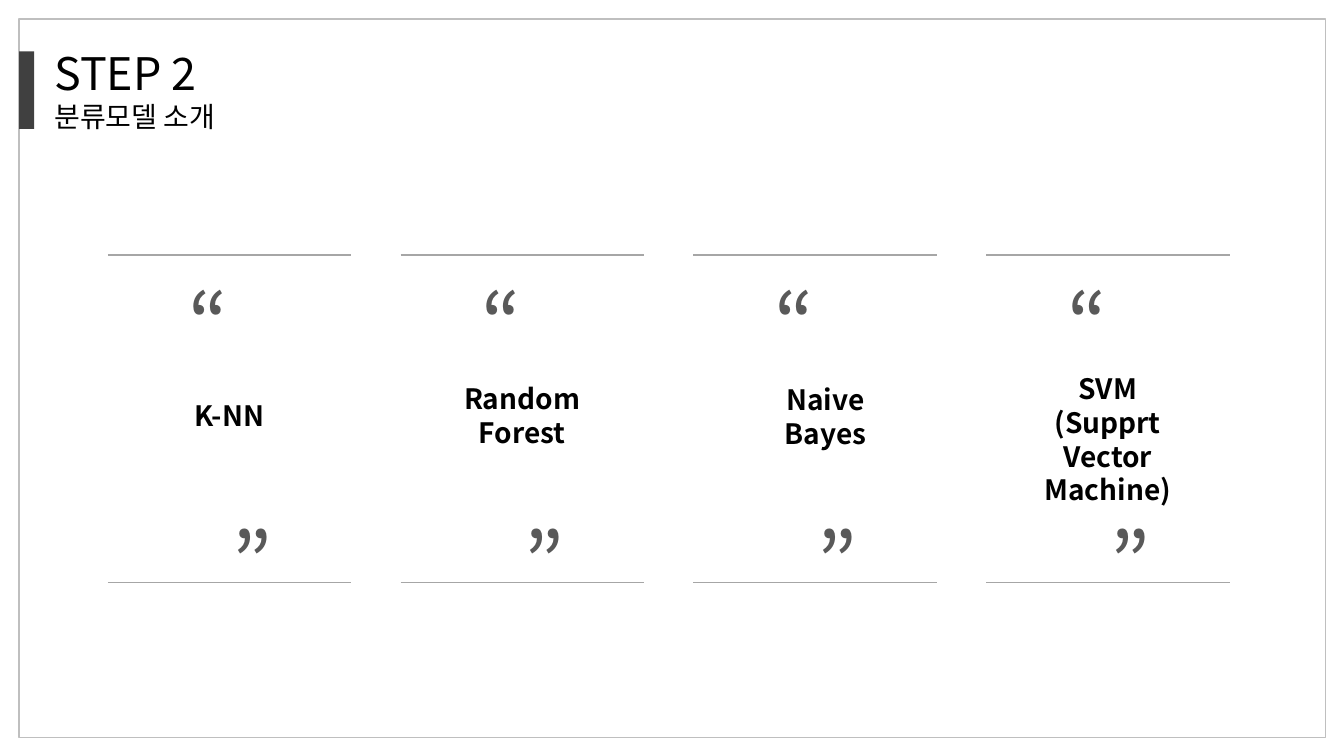
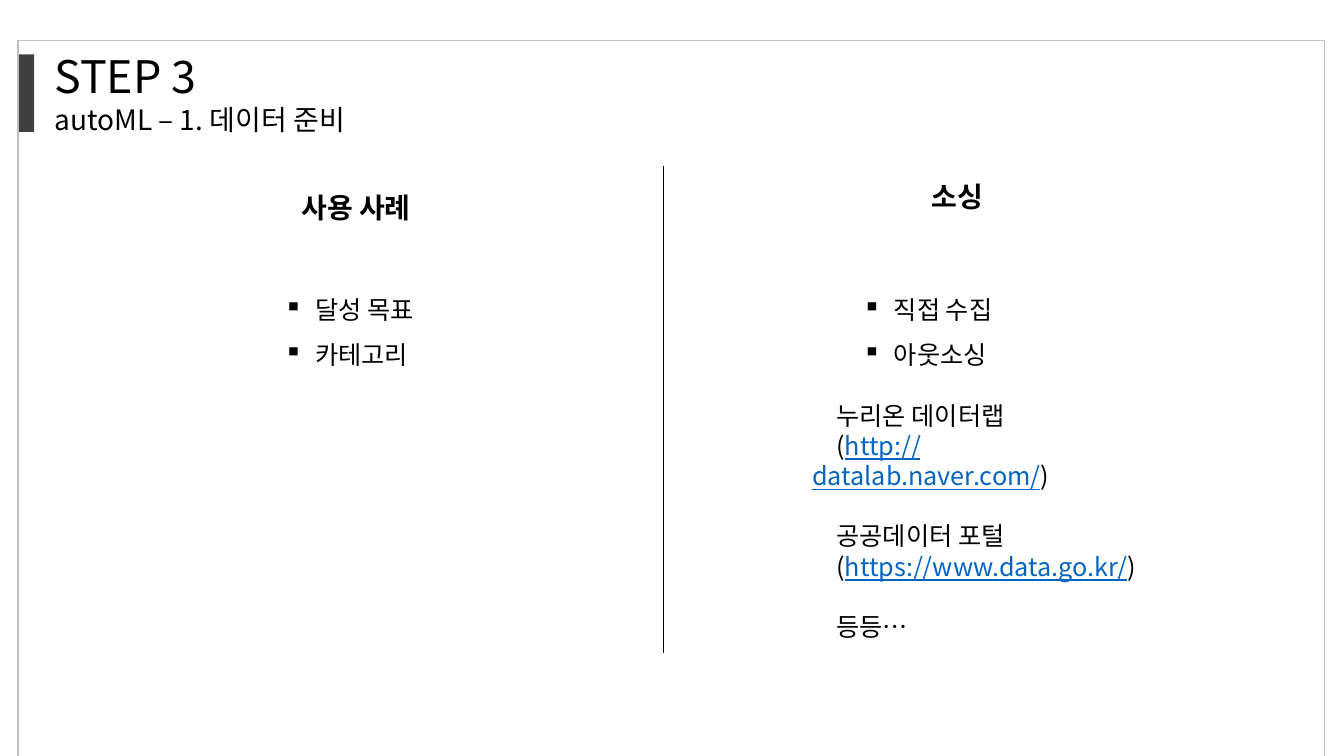
import dataclasses

import lxml.etree
import pptx
import pptx.dml.color
import pptx.enum.shapes
import pptx.enum.text
import pptx.oxml.ns
import pptx.util

COLORS = {
    "frame": "BFBFBF",
    "bar": "404040",
    "rule": "A6A6A6",
    "quote": "595959",
    "text": "000000",
    "link": "0563C1",
}
FONT = "Noto Sans CJK KR"
SLIDE_WIDTH = pptx.util.Inches(13.33)
SLIDE_HEIGHT = pptx.util.Inches(7.5)
GRID_COLUMNS, GRID_ROWS = 80, 45

CARD_LEFT, CARD_PITCH, CARD_WIDTH = 6.42, 17.43, 14.5
CARD_TOP, CARD_BOTTOM = 15.18, 34.68
LABEL_SHIFT, LABEL_WIDTH, LABEL_ROW = -0.63, 15.72, 2
QUOTE_WIDTH, QUOTE_HEIGHT = 6, 6.66
LIST_TOP = 16.32
BULLET_INDENT = 0.31
LINE_GAP = 21.5


@dataclasses.dataclass(frozen=True)
class Box:
    left: float
    top: float
    width: float
    height: float

    def lengths(self) -> tuple[int, int, int, int]:
        return (across(self.left), down(self.top), across(self.width), down(self.height))


@dataclasses.dataclass(frozen=True)
class Style:
    size: float
    color: str = "text"
    bold: bool = False
    outline: str = ""
    outline_opacity: int = 30


@dataclasses.dataclass(frozen=True)
class Header:
    text: str
    top: float
    frame_left: float
    frame_top: float


@dataclasses.dataclass(frozen=True)
class Card:
    label: str
    top: float
    shift: float = LABEL_SHIFT


@dataclasses.dataclass(frozen=True)
class Quote:
    mark: str
    shift: float
    top: float


@dataclasses.dataclass(frozen=True)
class Topic:
    heading: str
    heading_left: float
    heading_top: float
    items: str
    box: Box
    indent: float


@dataclasses.dataclass(frozen=True)
class Source:
    name: str
    link: str = ""


STEP_STYLE = Style(32, outline="text", outline_opacity=50)
SUBTITLE_STYLE = Style(20, outline="text", outline_opacity=50)
QUOTE_STYLE = Style(60, "quote", outline="quote")
LABEL_STYLE = Style(20, bold=True, outline="quote")
HEADING_STYLE = Style(20, bold=True)
BODY_STYLE = Style(18)
LINK_STYLE = Style(18, "link")

MODEL_HEADER = Header("STEP 2\n분류모델 소개", 2.4, 1.14, 1.14)
DATA_HEADER = Header("STEP 3\nautoML – 1. 데이터 준비", 2.58, 1.08, 2.4)
CARDS = (
    Card("K-NN", 23.4),
    Card("Random\nForest", 22.44),
    Card("Naive\nBayes", 22.5, 0),
    Card("SVM\n(Supprt\nVector\nMachine)", 21.84),
)
QUOTES = (Quote("“", 3, 15.84), Quote("”", 5.58, 30.12))
TOPICS = (
    Topic("사용 사례", 17.34, 11.04, "달성 목표\n카테고리",
          Box(16.32, LIST_TOP, 12, 5.7), BULLET_INDENT),
    Topic("소싱", 54.84, 10.38, "직접 수집\n아웃소싱",
          Box(47.76, LIST_TOP, 21, 20.58), 0.5 + BULLET_INDENT),
)
SOURCES = (
    Source("누리온 데이터랩", "http://datalab.naver.com/"),
    Source("공공데이터 포털", "https://www.data.go.kr/"),
    Source("등등…"),
)


def across(columns: float) -> int:
    return round(SLIDE_WIDTH * columns / GRID_COLUMNS)


def down(rows: float) -> int:
    return round(SLIDE_HEIGHT * rows / GRID_ROWS)


def rgb(name: str) -> pptx.dml.color.RGBColor:
    return pptx.dml.color.RGBColor.from_string(COLORS[name])


def add_element(parent, tag: str, **attributes: str):
    return lxml.etree.SubElement(parent, pptx.oxml.ns.qn(tag), attributes)


def format_run(run, style: Style) -> None:
    run.font.size = pptx.util.Pt(style.size)
    run.font.bold = style.bold
    run.font.color.rgb = rgb(style.color)
    run.font.name = FONT
    properties = run.font._element
    east_asian = add_element(properties, "a:ea", typeface=FONT)
    properties.find(pptx.oxml.ns.qn("a:latin")).addnext(east_asian)
    if style.outline:
        line = add_element(properties, "a:ln", w=str(pptx.util.Pt(0.75)))
        fill = add_element(line, "a:solidFill")
        color = add_element(fill, "a:srgbClr", val=COLORS[style.outline])
        add_element(color, "a:alpha", val=str(style.outline_opacity * 1000))
        properties.insert(0, line)


def format_paragraph(paragraph, style: Style) -> None:
    for run in paragraph.runs:
        format_run(run, style)


def add_text(slide, box: Box, text: str, style: Style, centered: bool = False):
    text_frame = slide.shapes.add_textbox(*box.lengths()).text_frame
    text_frame.word_wrap = True
    text_frame.text = text
    for paragraph in text_frame.paragraphs:
        if centered:
            paragraph.alignment = pptx.enum.text.PP_ALIGN.CENTER
        format_paragraph(paragraph, style)
    return text_frame


def add_rectangle(slide, box: Box, fill: str = "", line: str = "") -> None:
    shape = slide.shapes.add_shape(
        pptx.enum.shapes.MSO_SHAPE.RECTANGLE, *box.lengths())
    shape.shadow.inherit = False
    if fill:
        shape.fill.solid()
        shape.fill.fore_color.rgb = rgb(fill)
    else:
        shape.fill.background()
    if line:
        shape.line.color.rgb = rgb(line)
        shape.line.width = pptx.util.Pt(1)
    else:
        shape.line.fill.background()


def add_line(slide, start: tuple[float, float], end: tuple[float, float],
             color: str, width: float) -> None:
    connector = slide.shapes.add_connector(
        pptx.enum.shapes.MSO_CONNECTOR.STRAIGHT,
        across(start[0]), down(start[1]), across(end[0]), down(end[1]))
    connector.line.color.rgb = rgb(color)
    connector.line.width = pptx.util.Pt(width)
    add_element(connector._element.spPr, "a:effectLst")


def add_slide(presentation, header: Header):
    slide = presentation.slides.add_slide(presentation.slide_layouts[5])
    add_rectangle(slide, Box(header.frame_left, header.frame_top, 77.76, 42.78),
                  line="frame")
    add_rectangle(slide, Box(1.14, header.top + 0.66, 0.9, 4.62), fill="bar")
    title = slide.shapes.title
    title.left, title.top, title.width, title.height = Box(
        2.64, header.top, 31.86, 5.88).lengths()
    text_frame = title.text_frame
    text_frame.text = header.text
    text_frame.word_wrap = True
    text_frame.auto_size = pptx.enum.text.MSO_AUTO_SIZE.NONE
    text_frame.vertical_anchor = pptx.enum.text.MSO_ANCHOR.TOP
    for paragraph, style in zip(text_frame.paragraphs, (STEP_STYLE, SUBTITLE_STYLE)):
        paragraph.alignment = pptx.enum.text.PP_ALIGN.LEFT
        format_paragraph(paragraph, style)
    return slide


def add_card(slide, card: Card, left: float) -> None:
    for row in (CARD_TOP, CARD_BOTTOM):
        add_line(slide, (left, row), (left + CARD_WIDTH, row), "rule", 0.75)
    for quote in QUOTES:
        box = Box(left + quote.shift, quote.top, QUOTE_WIDTH, QUOTE_HEIGHT)
        add_text(slide, box, quote.mark, QUOTE_STYLE, centered=True)
    height = 0.64 + LABEL_ROW * len(card.label.splitlines())
    add_text(slide, Box(left + card.shift, card.top, LABEL_WIDTH, height),
             card.label, LABEL_STYLE, centered=True)


def add_topic(slide, topic: Topic):
    add_text(slide, Box(topic.heading_left, topic.heading_top, 12, 2.64),
             topic.heading, HEADING_STYLE)
    text_frame = add_text(slide, topic.box, topic.items, BODY_STYLE)
    for paragraph in text_frame.paragraphs:
        properties = paragraph._p.get_or_add_pPr()
        properties.set("marL", str(pptx.util.Inches(topic.indent)))
        properties.set("indent", str(pptx.util.Inches(-BULLET_INDENT)))
        add_element(properties, "a:buChar", char="▪")
        paragraph.line_spacing = 1.5
    return text_frame


def add_source_line(text_frame, parts: tuple[tuple[str, Style], ...], gap: float) -> None:
    paragraph = text_frame.add_paragraph()
    paragraph._p.get_or_add_pPr().set("indent", str(pptx.util.Inches(0.24)))
    paragraph.space_before = pptx.util.Pt(gap)
    for text, style in parts:
        run = paragraph.add_run()
        run.text = text
        format_run(run, style)
        if style is LINK_STYLE:
            run.font.underline = True


def add_sources(text_frame) -> None:
    for source in SOURCES:
        add_source_line(text_frame, ((source.name, BODY_STYLE),), LINE_GAP)
        if source.link:
            parts = (("(", BODY_STYLE), (source.link, LINK_STYLE), (")", BODY_STYLE))
            add_source_line(text_frame, parts, 0)


def build_models(presentation) -> None:
    slide = add_slide(presentation, MODEL_HEADER)
    for index, card in enumerate(CARDS):
        add_card(slide, card, CARD_LEFT + index * CARD_PITCH)


def build_data(presentation) -> None:
    slide = add_slide(presentation, DATA_HEADER)
    text_frames = [add_topic(slide, topic) for topic in TOPICS]
    add_sources(text_frames[-1])
    add_line(slide, (39.48, 9.9), (39.48, 38.88), "text", 0.5)


def main() -> None:
    presentation = pptx.Presentation()
    presentation.slide_width = SLIDE_WIDTH
    presentation.slide_height = SLIDE_HEIGHT
    build_models(presentation)
    build_data(presentation)
    presentation.save("out.pptx")


if __name__ == "__main__":
    main()
